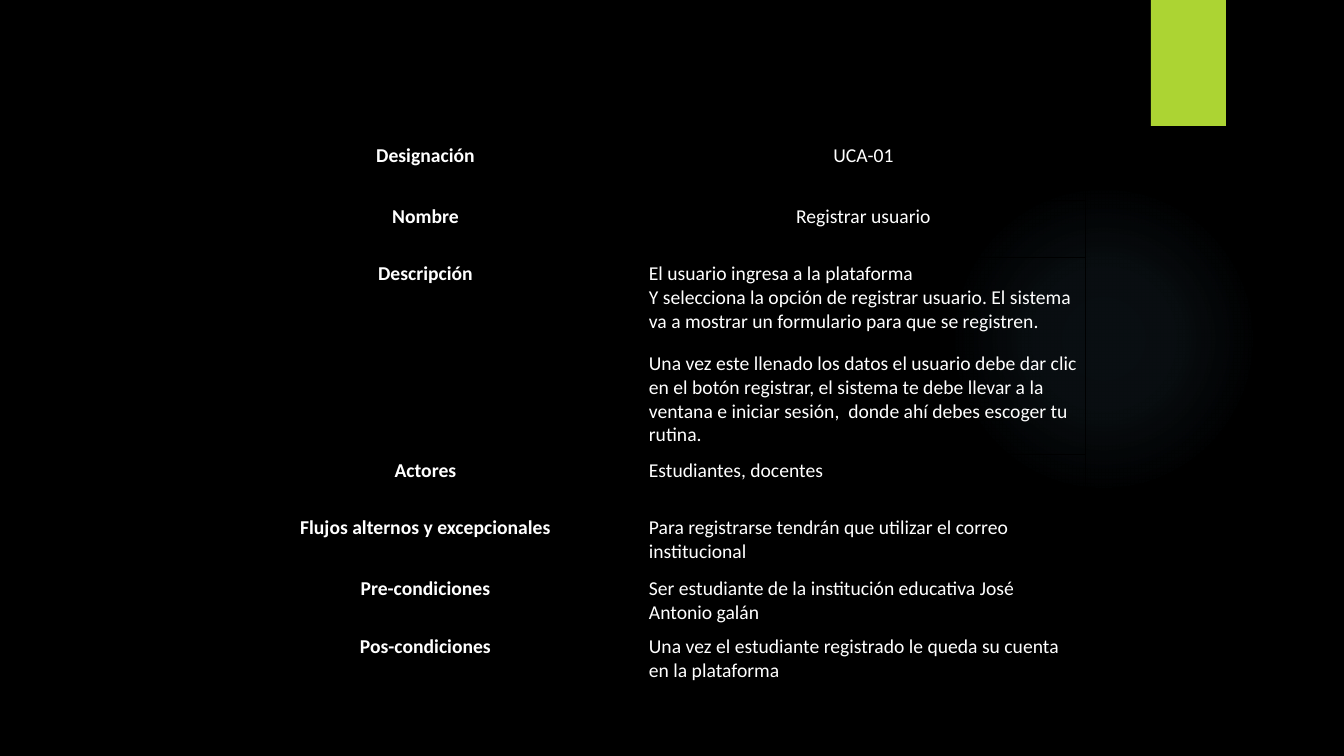
"""Build the use-case slide: a black page with a glow, a green tab and a table."""
from lxml.etree import SubElement, fromstring
from pptx import Presentation
from pptx.dml.color import RGBColor
from pptx.enum.shapes import MSO_SHAPE as Preset
from pptx.enum.text import PP_ALIGN as Align
from pptx.oxml.ns import nsdecls, qn
from pptx.util import Pt

USE_CASE = [
    ("Designación", ["UCA-01"], Align.CENTER, 61),
    ("Nombre", ["Registrar usuario"], Align.CENTER, 57),
    ("Descripción", [
        "El usuario ingresa a la plataforma",
        "Y selecciona la opción de registrar usuario. El sistema va a mostrar "
        "un formulario para que se registren.",
        "Una vez este llenado los datos el usuario debe dar clic en el botón "
        "registrar, el sistema te debe llevar a la ventana e iniciar sesión,  "
        "donde ahí debes escoger tu rutina.",
    ], Align.LEFT, 197),
    ("Actores", ["Estudiantes, docentes"], Align.LEFT, 57),
    ("Flujos alternos y excepcionales",
     ["Para registrarse tendrán que utilizar el correo institucional"], Align.LEFT, 61),
    ("Pre-condiciones",
     ["Ser estudiante de la institución educativa José Antonio galán"], Align.LEFT, 57),
    ("Pos-condiciones",
     ["Una vez el estudiante registrado le queda su cuenta en la plataforma"], Align.LEFT, 61),
]
PAGE = (1344, 756)
GLOW_BOX = (949, 184, 310, 310)
GLOW_STOPS = [(0, 7), (36, 6), (69, 0)]
TAB_BOX = (1151, 0, 75, 126)
TABLE_CORNER = (209, 139)
COLUMN_WIDTHS = (433, 443)
CELL_MARGINS = {"margin_left": 7, "margin_right": 7, "margin_top": 5, "margin_bottom": 5}
FONT = {"name": "Calibri", "size": Pt(14)}
BLACK, WHITE, GREEN, SKY = "000000", "FFFFFF", "ACD433", "7AC4F0"
BLOCK_GAP = Pt(13)
BORDER_WIDTH = Pt(0.5)


def px(length):
    return round(length * 914400 / 100.8)


def paint(fill, color):
    fill.solid()
    fill.fore_color.rgb = RGBColor.from_string(color)


def add_plain_shape(slide, preset, box):
    shape = slide.shapes.add_shape(preset, *map(px, box))
    shape.shadow.inherit = False
    shape.line.fill.background()
    return shape


def add_glow(slide):
    glow = add_plain_shape(slide, Preset.OVAL, GLOW_BOX)
    stops = "".join(
        f'<a:gs pos="{place * 1000}"><a:srgbClr val="{SKY}">'
        f'<a:alpha val="{opacity * 1000}"/></a:srgbClr></a:gs>'
        for place, opacity in GLOW_STOPS)
    gradient = fromstring(
        f'<a:gradFill {nsdecls("a")}><a:gsLst>{stops}</a:gsLst><a:path path="circle">'
        '<a:fillToRect l="50000" t="50000" r="50000" b="50000"/></a:path></a:gradFill>')
    glow._element.spPr.find(qn("a:prstGeom")).addnext(gradient)


def add_borders(cell):
    properties = cell._tc.get_or_add_tcPr()
    for position, side in enumerate(("lnL", "lnR", "lnT", "lnB")):
        border = SubElement(properties, qn(f"a:{side}"), w=str(BORDER_WIDTH))
        ink = SubElement(border, qn("a:solidFill"))
        SubElement(ink, qn("a:srgbClr"), val=BLACK)
        properties.insert(position, border)


def fill_cell(cell, lines, align, bold):
    cell.fill.background()
    add_borders(cell)
    for side, margin in CELL_MARGINS.items():
        setattr(cell, side, px(margin))
    frame = cell.text_frame
    for index, line in enumerate(lines):
        paragraph = frame.add_paragraph() if index else frame.paragraphs[0]
        paragraph.alignment = align
        paragraph.space_before = BLOCK_GAP if index == 2 else Pt(0)
        run = paragraph.add_run()
        run.text = line
        for key, value in {**FONT, "bold": bold}.items():
            setattr(run.font, key, value)
        paint(run.font.fill, WHITE)


def add_use_case(slide):
    heights = [height for *_, height in USE_CASE]
    size = (sum(COLUMN_WIDTHS), sum(heights))
    table = slide.shapes.add_table(
        len(USE_CASE), len(COLUMN_WIDTHS), *map(px, TABLE_CORNER + size)).table
    table.first_row = table.horz_banding = False
    for column, width in zip(table.columns, COLUMN_WIDTHS):
        column.width = px(width)
    for row, (label, lines, align, height) in zip(table.rows, USE_CASE):
        row.height = px(height)
        label_cell, detail_cell = row.cells
        fill_cell(label_cell, [label], Align.CENTER, True)
        fill_cell(detail_cell, lines, align, False)


def main():
    deck = Presentation()
    deck.slide_width, deck.slide_height = map(px, PAGE)
    slide = deck.slides.add_slide(deck.slide_layouts[6])
    paint(slide.background.fill, BLACK)
    add_glow(slide)
    paint(add_plain_shape(slide, Preset.RECTANGLE, TAB_BOX).fill, GREEN)
    add_use_case(slide)
    deck.save("out.pptx")


if __name__ == "__main__":
    main()
